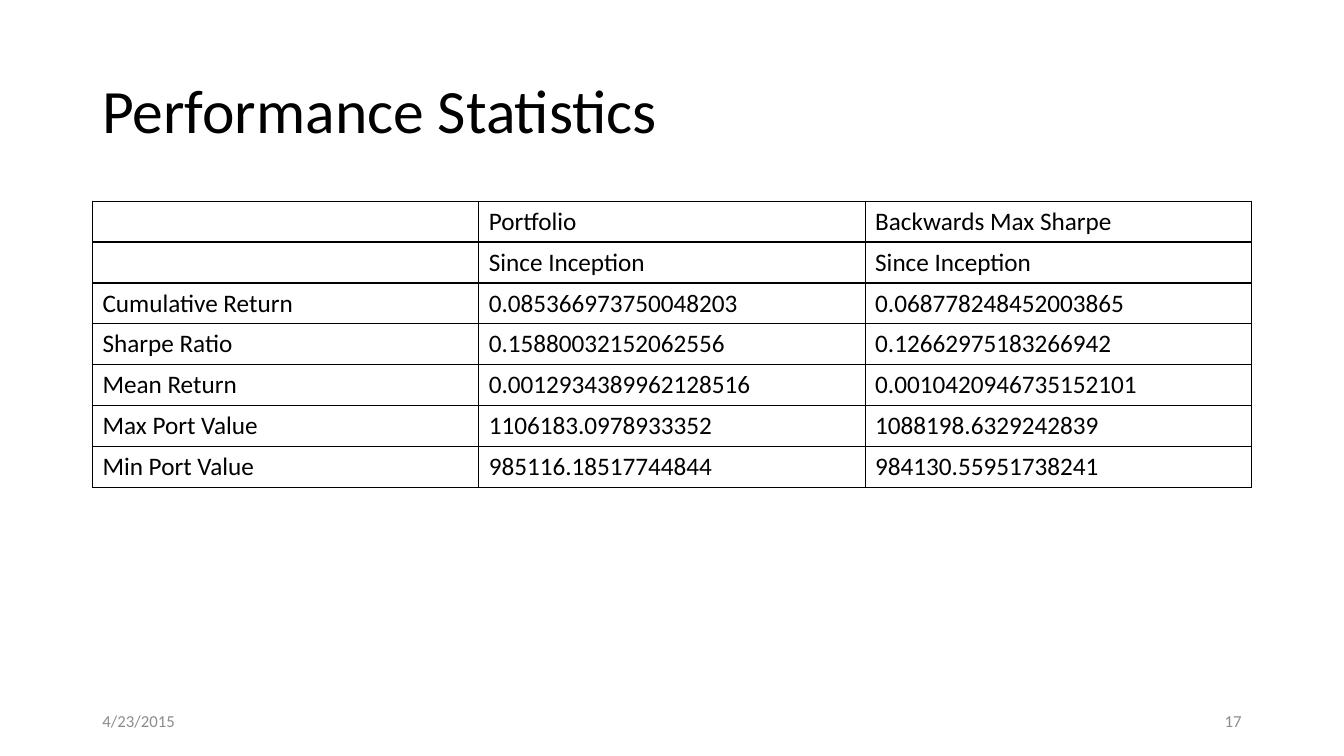
from lxml import etree
from pptx import Presentation
from pptx.dml.color import RGBColor
from pptx.enum.text import MSO_ANCHOR, PP_ALIGN
from pptx.oxml.ns import qn
from pptx.util import Cm, Pt

MIDDLE = MSO_ANCHOR.MIDDLE
LEFT, RIGHT = PP_ALIGN.LEFT, PP_ALIGN.RIGHT
FONT = "Calibri"
COLORS = {"ink": "000000", "paper": "FFFFFF", "footer": "8C8C8C"}

MARGIN = 2.33
CONTENT_WIDTH = 29.21
HEADER_ROWS = 2
STATISTICS = [
    ("", "Portfolio", "Backwards Max Sharpe"),
    ("", "Since Inception", "Since Inception"),
    ("Cumulative Return", "0.085366973750048203", "0.068778248452003865"),
    ("Sharpe Ratio", "0.15880032152062556", "0.12662975183266942"),
    ("Mean Return", "0.0012934389962128516", "0.0010420946735152101"),
    ("Max Port Value", "1106183.0978933352", "1088198.6329242839"),
    ("Min Port Value", "985116.18517744844", "984130.55951738241"),
]


def style_paragraph(para, size, color):
    for font in [para.font] + [span.font for span in para.runs]:
        font.name = FONT
        font.size = Pt(size)
        font.bold = False
        font.color.rgb = RGBColor.from_string(COLORS[color])


def add_text(page, box, text, size, color, align=LEFT, spacing=1.0):
    frame = page.shapes.add_textbox(*(Cm(length) for length in box)).text_frame
    frame.word_wrap = True
    frame.vertical_anchor = MIDDLE
    frame.text = text
    para = frame.paragraphs[0]
    para.alignment = align
    para.line_spacing = spacing
    style_paragraph(para, size, color)


def add_border(cell, side, width):
    properties = cell._tc.get_or_add_tcPr()
    line = etree.SubElement(properties, qn(f"a:ln{side}"), w=str(Pt(width)))
    fill = etree.SubElement(line, qn("a:solidFill"))
    etree.SubElement(fill, qn("a:srgbClr"), val=COLORS["ink"])


def add_statistics(page, box):
    left, top, width, row_height = box
    row_count, column_count = len(STATISTICS), len(STATISTICS[0])
    table = page.shapes.add_table(
        row_count, column_count, Cm(left), Cm(top), Cm(width), Cm(row_height * row_count)
    ).table
    table.first_row = False
    table.horz_banding = False
    for row_index, values in enumerate(STATISTICS):
        for column_index, value in enumerate(values):
            cell = table.cell(row_index, column_index)
            cell.text = value
            style_paragraph(cell.text_frame.paragraphs[0], 18, "ink")
            top_width = 1.5 if row_index == HEADER_ROWS else 1
            bottom_width = 1.5 if row_index == HEADER_ROWS - 1 else 1
            for side, line_width in zip("LRTB", (1, 1, top_width, bottom_width)):
                add_border(cell, side, line_width)
            cell.fill.solid()
            cell.fill.fore_color.rgb = RGBColor.from_string(COLORS["paper"])


def add_footer(page, box):
    left, top, width, height = box
    date_width = 7.62
    add_text(page, (left, top, date_width, height), "4/23/2015", 12, "footer")
    number_left = left + width - date_width
    add_text(page, (number_left, top, date_width, height), "17", 12, "footer", RIGHT)


def main():
    deck = Presentation()
    deck.slide_width, deck.slide_height = Cm(33.87), Cm(19.05)
    page = deck.slides.add_slide(deck.slide_layouts[6])
    add_text(page, (MARGIN, 1.01, CONTENT_WIDTH, 3.68),
             "Performance Statistics", 44, "ink", spacing=0.9)
    add_statistics(page, (MARGIN, 5.07, CONTENT_WIDTH, 1.03))
    add_footer(page, (MARGIN, 17.66, CONTENT_WIDTH, 1.01))
    deck.save("out.pptx")


if __name__ == "__main__":
    main()
